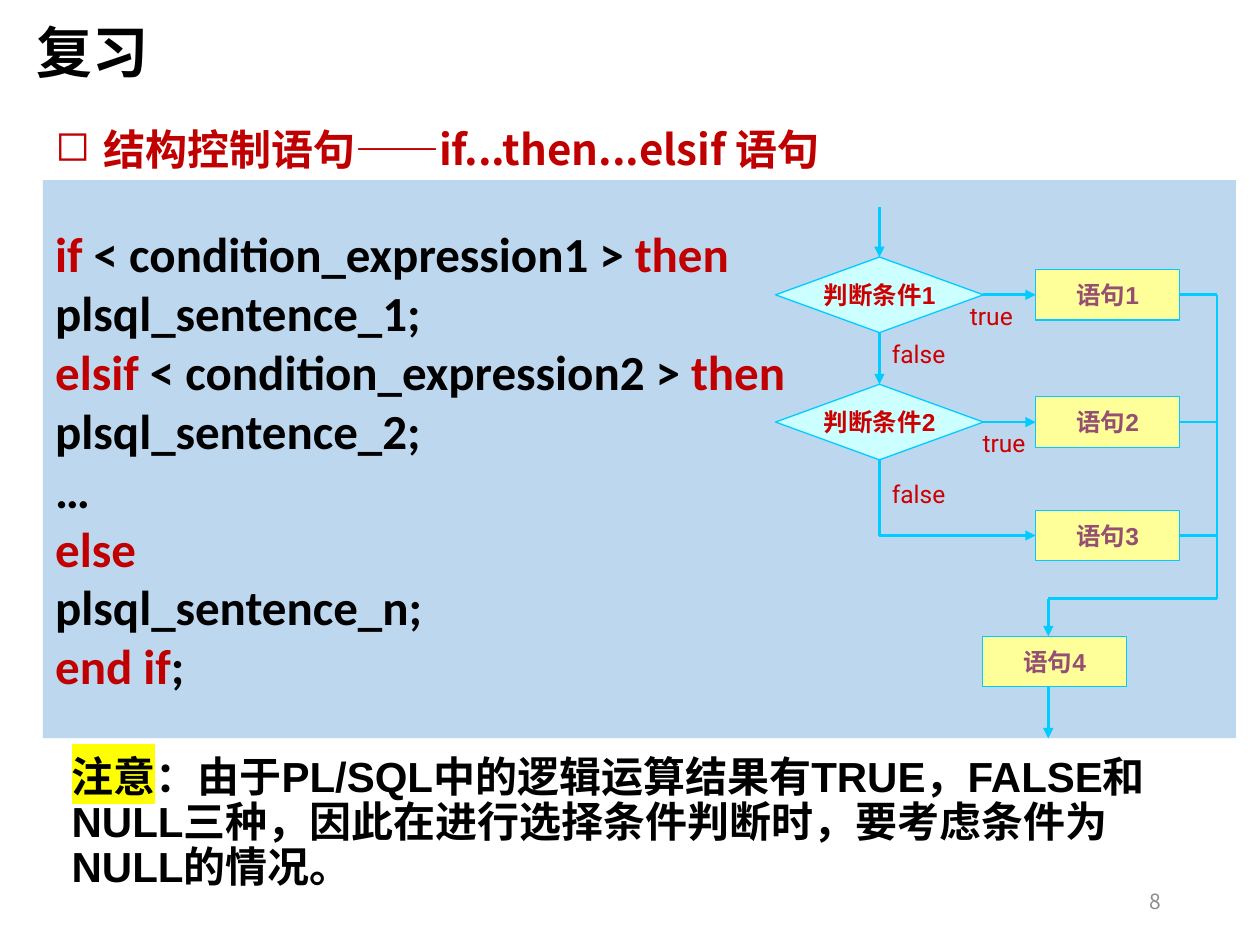
from lxml.etree import SubElement
from pptx import Presentation
from pptx.dml.color import RGBColor
from pptx.enum.shapes import MSO_CONNECTOR, MSO_SHAPE
from pptx.enum.text import MSO_ANCHOR, PP_ALIGN
from pptx.oxml import parse_xml
from pptx.oxml.ns import nsdecls, qn
from pptx.util import Inches, Pt

HUES = {
    "ink": "000000", "key": "C00000", "test": "CC0000", "step": "954F72",
    "gray": "8C8C8C", "panel": "BDD7EE", "ice": "CCFFFF", "cream": "FFFF99",
    "flow": "00CCFF", "mark": "FFFF00",
}
CJK = "Noto Sans CJK SC"

TITLE = "复习"
HEAD = "结构控制语句——if...then...elsif 语句"
CODE = [
    [("if", "key"), (" < condition_expression1 > ", "ink"), ("then", "key")],
    [("plsql_sentence_1;", "ink")],
    [("elsif", "key"), (" < condition_expression2 > ", "ink"), ("then", "key")],
    [("plsql_sentence_2;", "ink")],
    [("…", "ink")],
    [("else", "key")],
    [("plsql_sentence_n;", "ink")],
    [("end if", "key"), (";", "ink")],
]
NOTE = [("注意", "ink"),
        ("：由于PL/SQL中的逻辑运算结果有TRUE，FALSE和NULL三种，"
         "因此在进行选择条件判断时，要考虑条件为NULL的情况。", "ink")]

# Flow chart grid: column centres and row centres
TEST, LAST, DROP, STEP, RAIL = 6.98, 8.37, 8.32, 8.79, 9.66
ROWS = [2.34, 3.35, 4.25, 5.25]
TURN, START, END = 4.75, 1.64, 5.86
TOP, LEFT, BOTTOM, RIGHT = range(4)
KINDS = {
    "test": (MSO_SHAPE.FLOWCHART_DECISION, 1.65, 0.6, "ice"),
    "step": (MSO_SHAPE.RECTANGLE, 1.14, 0.4, "cream"),
}
NODES = {
    "判断条件1": ("test", TEST, ROWS[0]),
    "判断条件2": ("test", TEST, ROWS[1]),
    "语句1": ("step", STEP, ROWS[0]),
    "语句2": ("step", STEP, ROWS[1]),
    "语句3": ("step", STEP, ROWS[2]),
    "语句4": ("step", LAST, ROWS[3]),
}
# Each end is a point or a (node, side) pair; the flag adds an arrowhead
LINES = [
    ((TEST, START), ("判断条件1", TOP), True),
    (("判断条件1", BOTTOM), ("判断条件2", TOP), True),
    (("判断条件1", RIGHT), ("语句1", LEFT), True),
    (("判断条件2", RIGHT), ("语句2", LEFT), True),
    (("判断条件2", BOTTOM), (TEST, ROWS[2]), False),
    ((TEST, ROWS[2]), ("语句3", LEFT), True),
    (("语句1", RIGHT), (RAIL, ROWS[0]), False),
    (("语句2", RIGHT), (RAIL, ROWS[1]), False),
    (("语句3", RIGHT), (RAIL, ROWS[2]), False),
    ((RAIL, ROWS[0]), (RAIL, TURN), False),
    ((RAIL, TURN), (DROP, TURN), False),
    ((DROP, TURN), (DROP, ROWS[3] - 0.2), True),
    ((DROP, ROWS[3] + 0.2), (DROP, END), True),
]
TAGS = [("true", 7.6, ROWS[0]), ("true", 7.7, ROWS[1]),
        ("false", TEST, 2.64), ("false", TEST, 3.75)]


def hue(name):
    return RGBColor.from_string(HUES[name])


def style(run, size, face, color, bold):
    font = run.font
    font.size, font.name, font.bold = Pt(size), face, bold
    font.color.rgb = hue(color)
    SubElement(run.font._element, qn("a:ea")).set("typeface", CJK)


def write(shape, lines, size, face, bold=True, wrap=True,
          align=PP_ALIGN.LEFT, anchor=MSO_ANCHOR.TOP):
    """Fill a shape with lines, each a list of (text, colour) pieces."""
    frame = shape.text_frame
    frame.word_wrap, frame.vertical_anchor = wrap, anchor
    for i, line in enumerate(lines):
        para = frame.add_paragraph() if i else frame.paragraphs[0]
        para.alignment = align
        for text, color in line:
            run = para.add_run()
            run.text = text
            style(run, size, face, color, bold)
    return frame.paragraphs[0]


def box(slide, *area):
    return slide.shapes.add_textbox(*map(Inches, area))


def block(slide, kind, area, fill, edge=None):
    shape = slide.shapes.add_shape(kind, *map(Inches, area))
    shape.shadow.inherit = False
    shape.fill.solid()
    shape.fill.fore_color.rgb = hue(fill)
    if edge:
        shape.line.color.rgb = hue(edge)
        shape.line.width = Pt(0.75)
    else:
        shape.line.fill.background()
    return shape


def link(slide, nodes, start, end, arrow):
    line = slide.shapes.add_connector(MSO_CONNECTOR.STRAIGHT, 0, 0, 0, 0)
    # Free ends are placed first, as joining an end moves it to its node
    if start[0] not in nodes:
        line.begin_x, line.begin_y = map(Inches, start)
    if end[0] not in nodes:
        line.end_x, line.end_y = map(Inches, end)
    if start[0] in nodes:
        line.begin_connect(nodes[start[0]], start[1])
    if end[0] in nodes:
        line.end_connect(nodes[end[0]], end[1])
    line.line.color.rgb = hue("flow")
    line.line.width = Pt(1.5)
    props = line._element.spPr
    if arrow:
        SubElement(props.find(qn("a:ln")), qn("a:tailEnd")).set("type", "triangle")
    SubElement(props, qn("a:effectLst"))


def chart(slide):
    nodes = {}
    for name, (kind, x, y) in NODES.items():
        form, w, h, fill = KINDS[kind]
        node = block(slide, form, (x - w / 2, y - h / 2, w, h), fill, "flow")
        write(node, [[(name, kind)]], 14, "Arial", wrap=False,
              align=PP_ALIGN.CENTER, anchor=MSO_ANCHOR.MIDDLE)
        nodes[name] = node
    for ends in LINES:
        link(slide, nodes, *ends)
    for text, x, y in TAGS:
        write(box(slide, x, y, 0.8, 0.42), [[(text, "test")]], 14, "Roboto",
              bold=False, wrap=False)


def main():
    deck = Presentation()
    deck.slide_width, deck.slide_height = Inches(10), Inches(7.5)
    slide = deck.slides.add_slide(deck.slide_layouts[6])

    write(box(slide, 0.19, 0.09, 1.1, 0.64), [[(TITLE, "ink")]], 32, CJK, wrap=False)
    head = write(box(slide, 0.34, 0.93, 9.32, 0.5), [[(HEAD, "key")]], 24, CJK)
    props = head._p.get_or_add_pPr()
    props.set("marL", str(Inches(0.38)))
    props.set("indent", str(Inches(-0.38)))
    SubElement(props, qn("a:buChar")).set("char", "◻")

    panel = block(slide, MSO_SHAPE.RECTANGLE, (0.34, 1.43, 9.47, 4.43), "panel")
    write(panel, CODE, 28, "Calibri", anchor=MSO_ANCHOR.MIDDLE)
    chart(slide)

    note = write(box(slide, 0.47, 5.95, 8.97, 1.19), [NOTE], 24, "Arial")
    note.line_spacing = 0.9
    glow = parse_xml(f'<a:highlight {nsdecls("a")}>'
                     f'<a:srgbClr val="{HUES["mark"]}"/></a:highlight>')
    note.runs[0].font._element.find(qn("a:solidFill")).addnext(glow)

    write(box(slide, 7.06, 6.95, 2.25, 0.4), [[("8", "gray")]], 12, CJK,
          bold=False, align=PP_ALIGN.RIGHT, anchor=MSO_ANCHOR.MIDDLE)
    deck.save("out.pptx")


if __name__ == "__main__":
    main()
